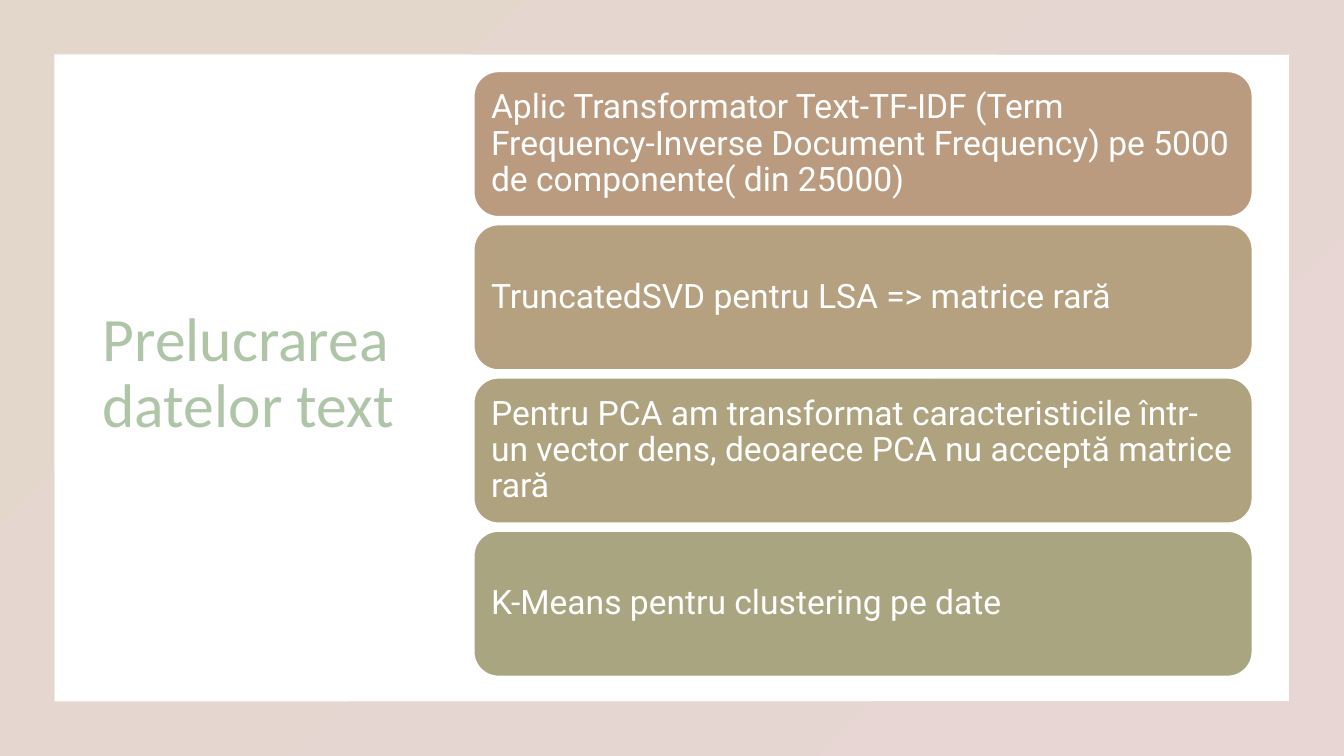
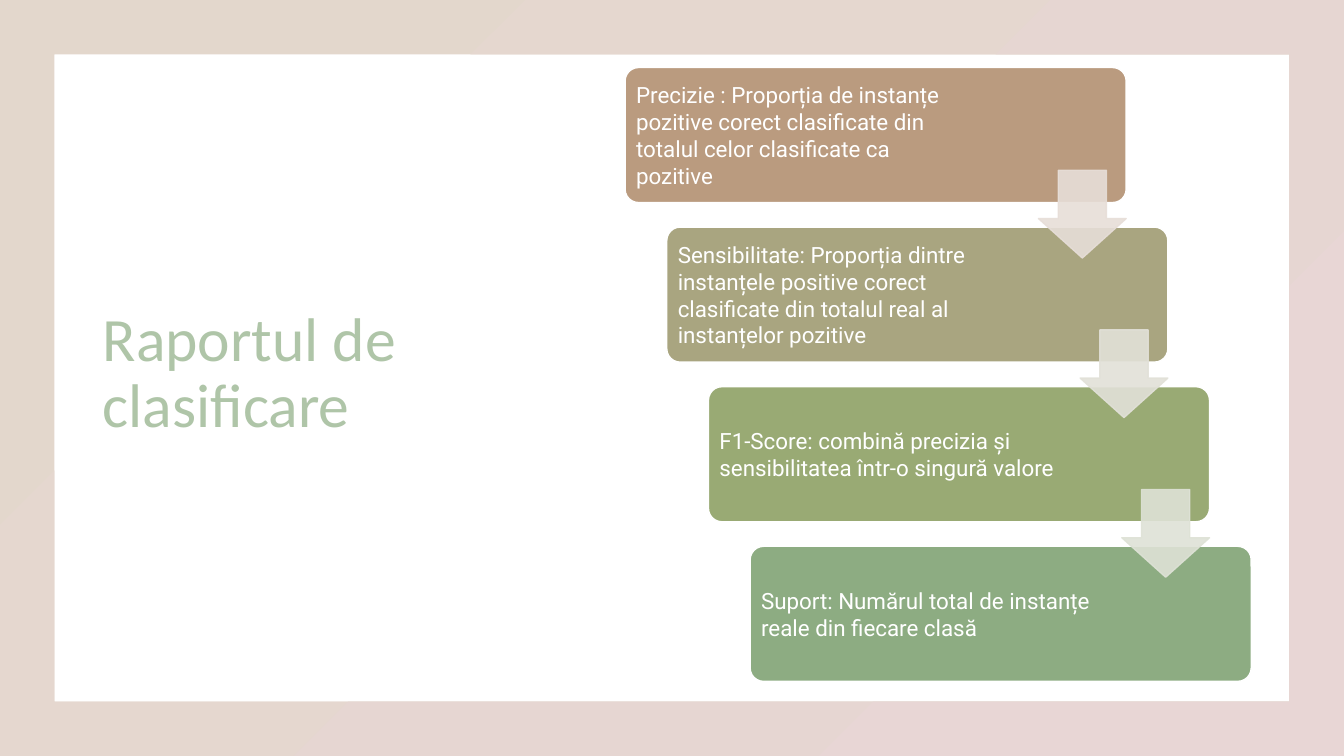
from pptx import Presentation
from pptx.dml.color import RGBColor
from pptx.enum.shapes import MSO_SHAPE as Preset
from pptx.enum.text import MSO_ANCHOR as Anchor, PP_ALIGN as Align
from pptx.oxml.ns import qn
from pptx.util import Inches, Pt
from lxml.etree import SubElement

WHITE = RGBColor(0xFF, 0xFF, 0xFF)
TITLE_GREEN = RGBColor(0xAF, 0xC5, 0xA8)
FRAME_SAND = RGBColor(0xE3, 0xD7, 0xCC)
FRAME_PINK = RGBColor(0xE8, 0xD6, 0xD5)
COPPER = RGBColor(0xBA, 0x9B, 0x7F)
SAND = RGBColor(0xB5, 0xA0, 0x7F)
KHAKI = RGBColor(0xAF, 0xA3, 0x7F)
OLIVE = RGBColor(0xA9, 0xA5, 0x80)
MOSS = RGBColor(0x99, 0xAA, 0x74)
SAGE = RGBColor(0x8D, 0xAC, 0x82)
PALE_COPPER = RGBColor(0xE7, 0xDE, 0xD8)
PALE_OLIVE = RGBColor(0xE2, 0xE1, 0xD8)
PALE_MOSS = RGBColor(0xDE, 0xE2, 0xD6)

SLIDE_WIDTH, SLIDE_HEIGHT = 13.33, 7.5
TITLE_FORMAT = {"name": "Calibri", "size": Pt(44)}
LARGE_FORMAT = {"name": "Roboto", "size": Pt(24)}
SMALL_FORMAT = {"name": "Roboto", "size": Pt(16)}

PROCESSING_STEPS = [
    ("Aplic Transformator Text-TF-IDF (Term Frequency-Inverse Document "
     "Frequency) pe 5000 de componente( din 25000)", COPPER),
    ("TruncatedSVD pentru LSA => matrice rară", SAND),
    ("Pentru PCA am transformat caracteristicile într-un vector dens, "
     "deoarece PCA nu acceptă matrice rară", KHAKI),
    ("K-Means pentru clustering pe date", OLIVE),
]
# Text, colour and right inset of each box
METRICS = [
    ("Precizie : Proporția de instanțe pozitive corect clasificate din "
     "totalul celor clasificate ca pozitive", COPPER, 1.54),
    ("Sensibilitate: Proporția dintre instanțele positive corect clasificate "
     "din totalul real al instanțelor pozitive", OLIVE, 1.35),
    ("F1-Score: combină precizia și sensibilitatea într-o singură valore",
     MOSS, 1.35),
    ("Suport: Numărul total de instanțe reale din fiecare clasă", SAGE, 1.35),
]
ARROW_COLORS = [PALE_COPPER, PALE_OLIVE, PALE_MOSS]


class Deck:
    def __init__(self):
        self.presentation = Presentation()
        self.presentation.slide_width = Inches(SLIDE_WIDTH)
        self.presentation.slide_height = Inches(SLIDE_HEIGHT)
        self.slide = None

    def add_slide(self, title, title_width):
        layout = self.presentation.slide_layouts[6]
        self.slide = self.presentation.slides.add_slide(layout)
        self.add_frame()
        text_box = self.slide.shapes.add_textbox(
            Inches(0.92), Inches(0.67), Inches(title_width), Inches(6.09))
        self.set_text(text_box, title, TITLE_FORMAT, TITLE_GREEN, 0.9)

    def add_shape(self, preset, left, top, width, height, adjustments):
        shape = self.slide.shapes.add_shape(
            preset, Inches(left), Inches(top), Inches(width), Inches(height))
        shape.shadow.inherit = False
        for index, value in enumerate(adjustments):
            shape.adjustments[index] = value
        return shape

    def add_frame(self):
        frame = self.add_shape(
            Preset.FRAME, 0, 0, SLIDE_WIDTH, SLIDE_HEIGHT, [0.072])
        frame.line.fill.background()
        frame.fill.gradient()
        frame.fill.gradient_angle = 315
        for stop, color in zip(frame.fill.gradient_stops,
                               (FRAME_SAND, FRAME_PINK)):
            stop.color.rgb = color

    def paint(self, shape, fill, line):
        shape.fill.solid()
        shape.fill.fore_color.rgb = fill
        shape.line.color.rgb = line
        shape.line.width = Pt(1)

    def set_text(self, shape, text, font_format, color, line_spacing,
                 margins=None):
        frame = shape.text_frame
        frame.word_wrap = True
        frame.vertical_anchor = Anchor.MIDDLE
        for side, margin in (margins or {}).items():
            setattr(frame, f"margin_{side}", Inches(margin))
        paragraph = frame.paragraphs[0]
        paragraph.alignment = Align.LEFT
        paragraph.line_spacing = line_spacing
        run = paragraph.add_run()
        run.text = text
        for name, value in font_format.items():
            setattr(run.font, name, value)
        run.font.color.rgb = color

    def add_box(self, text, color, place, radius, font_format, line_spacing,
                inset, right_inset):
        box = self.add_shape(Preset.ROUNDED_RECTANGLE, *place, [radius])
        self.paint(box, color, WHITE)
        margins = dict.fromkeys(("left", "top", "bottom"), inset)
        margins["right"] = right_inset
        self.set_text(box, text, font_format, WHITE, line_spacing, margins)

    def add_arrow(self, left, top, color):
        """Add a down arrow that is 90 percent opaque."""
        arrow = self.add_shape(
            Preset.DOWN_ARROW, left, top, 0.87, 0.87, [0.55, 0.45])
        self.paint(arrow, color, color)
        for element in arrow._element.spPr.iter(qn("a:srgbClr")):
            SubElement(element, qn("a:alpha")).set("val", "90000")


def add_processing_slide(deck):
    deck.add_slide("Prelucrarea datelor text", 3.5)
    for index, (text, color) in enumerate(PROCESSING_STEPS):
        place = (4.7, 0.71 + index * 1.52, 7.72, 1.44)
        deck.add_box(text, color, place, 0.17, LARGE_FORMAT, 0.9, 0.1, 0.1)


def add_report_slide(deck):
    deck.add_slide("Raportul de clasificare", 4.86)
    left, top = 6.2, 0.67
    step_right, step_down = 1.24 / 3, 4.75 / 3
    for index, (text, color, right_inset) in enumerate(METRICS):
        place = (left + index * step_right, top + index * step_down, 4.97, 1.34)
        deck.add_box(text, color, place, 0.1, SMALL_FORMAT, 1.0, 0.07,
                     right_inset)
    for index, color in enumerate(ARROW_COLORS):
        deck.add_arrow(left + 4.1 + index * step_right,
                       top + 1.02 + index * step_down, color)


def main():
    deck = Deck()
    add_processing_slide(deck)
    add_report_slide(deck)
    deck.presentation.save("out.pptx")


if __name__ == "__main__":
    main()
